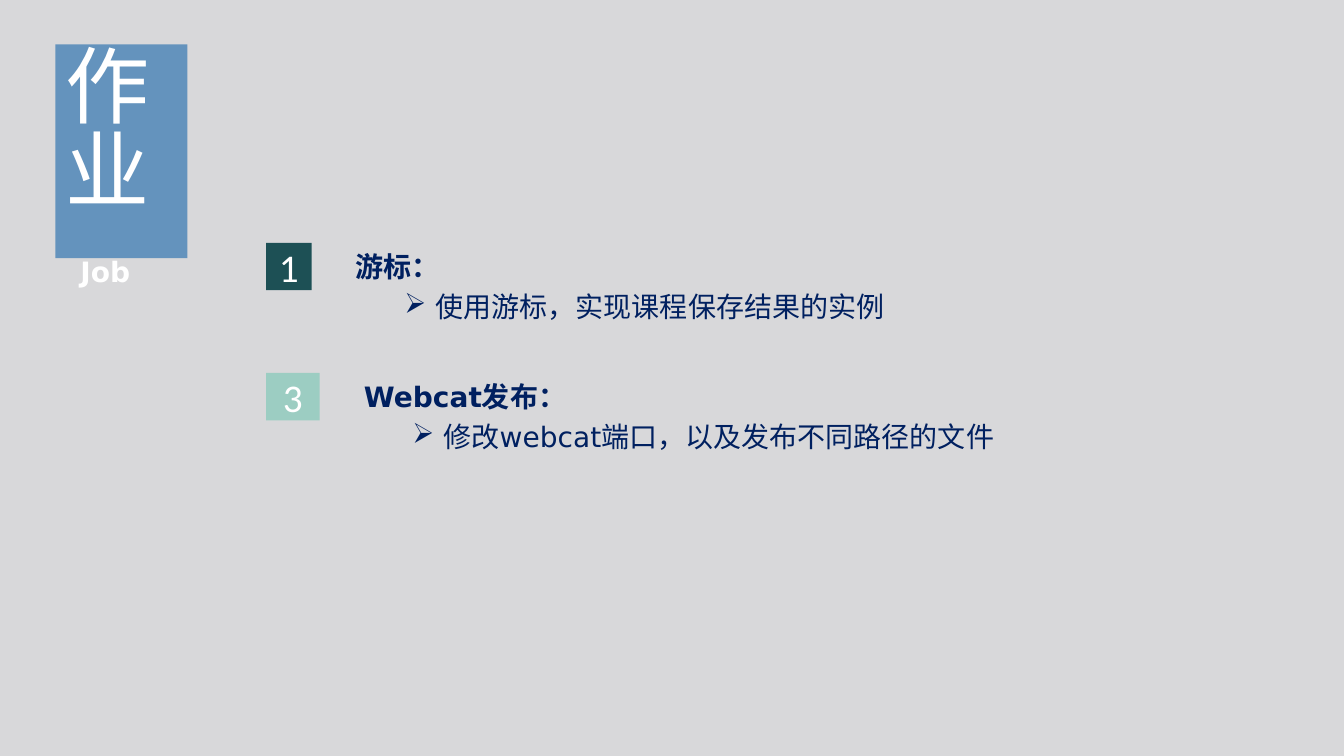
from lxml.etree import SubElement
from pptx import Presentation
from pptx.dml.color import RGBColor
from pptx.enum.shapes import MSO_SHAPE
from pptx.enum.text import MSO_ANCHOR, MSO_AUTO_SIZE, PP_ALIGN
from pptx.oxml.ns import qn
from pptx.util import Inches, Pt

BACKGROUND = RGBColor(0xD8, 0xD8, 0xDA)
BLUE = RGBColor(0x34, 0x77, 0xB2)
NAVY = RGBColor(0x00, 0x20, 0x60)
WHITE = RGBColor(0xFF, 0xFF, 0xFF)
DARK_TEAL = RGBColor(0x1D, 0x50, 0x55)
MINT = RGBColor(0x9C, 0xCD, 0xC2)

HEADING_FONT, BODY_FONT, NUMBER_FONT = "Noto Sans CJK SC", "DejaVu Sans", "Calibri"
WIDTH, HEIGHT = 13.33, 7.5


class HomeworkSlide:
    """Current slide and its style; lengths are in one-inch columns and rows."""

    def __init__(self, deck):
        self.slide = deck.slides.add_slide(deck.slide_layouts[5])
        self.slide.background.fill.solid()
        self.slide.background.fill.fore_color.rgb = BACKGROUND

    def style(self, paragraph, font, size, color, bold=False):
        paragraph.font.name = font
        paragraph.font.size = Pt(size)
        paragraph.font.bold = bold
        paragraph.font.color.rgb = color
        # East Asian characters take the same font
        for run in paragraph.runs:
            SubElement(run._r.get_or_add_rPr(), qn("a:ea"), typeface=font)

    def title(self, text, left, top, width, height):
        title = self.slide.shapes.title
        title.left, title.top = Inches(left), Inches(top)
        title.width, title.height = Inches(width), Inches(height)
        title.fill.solid()
        title.fill.fore_color.rgb = BLUE
        color = title.fill._xPr.find(".//" + qn("a:srgbClr"))
        SubElement(color, qn("a:alpha"), val="70000")
        frame = title.text_frame
        frame.text = text
        frame.word_wrap = True
        frame.auto_size = MSO_AUTO_SIZE.NONE
        frame.vertical_anchor = MSO_ANCHOR.TOP
        heading = frame.paragraphs[0]
        heading.alignment = PP_ALIGN.LEFT
        heading.line_spacing = 0.84
        self.style(heading, HEADING_FONT, 60, WHITE)

    def text(self, lines, left, top, width, height, inset=0.0):
        box = self.slide.shapes.add_textbox(
            Inches(left), Inches(top), Inches(width), Inches(height))
        frame = box.text_frame
        frame.word_wrap = True
        frame.margin_left = frame.margin_right = Inches(inset)
        frame.margin_top = frame.margin_bottom = Inches(inset / 2)
        frame.text = "\n".join(lines)
        return frame.paragraphs

    def number(self, text, color, left, top, width, height):
        tile = self.slide.shapes.add_shape(
            MSO_SHAPE.RECTANGLE, Inches(left), Inches(top), Inches(width), Inches(height))
        tile.shadow.inherit = False
        tile.fill.solid()
        tile.fill.fore_color.rgb = color
        tile.line.fill.background()
        frame = tile.text_frame
        frame.text = text
        frame.vertical_anchor = MSO_ANCHOR.MIDDLE
        frame.paragraphs[0].alignment = PP_ALIGN.CENTER
        self.style(frame.paragraphs[0], NUMBER_FONT, 28, WHITE)

    def task(self, heading, detail, left, top, width, height):
        paragraphs = self.text([heading, detail], left, top, width, height)
        for paragraph, bold in zip(paragraphs, (True, False)):
            paragraph.line_spacing = 1.2
            self.style(paragraph, BODY_FONT, 20, NAVY, bold)
        # Arrow bullet with a hanging indent
        properties = paragraphs[1]._p.get_or_add_pPr()
        properties.set("marL", str(Inches(0.79)))
        properties.set("indent", str(Inches(-0.31)))
        bullet = SubElement(properties, qn("a:buChar"), char="➢")
        properties.find(qn("a:defRPr")).addprevious(bullet)


deck = Presentation()
deck.slide_width, deck.slide_height = Inches(WIDTH), Inches(HEIGHT)
homework = HomeworkSlide(deck)

# Title block with its English caption
homework.title("作业", 0.55, 0.44, 1.31, 2.12)
caption, = homework.text(["Job"], 0.7, 2.48, 1.57, 0.44, inset=0.1)
homework.style(caption, BODY_FONT, 20, WHITE, bold=True)

# Tasks: number, tile colour, tile width, heading, detail, text width, text height
TASKS = [
    ("1", DARK_TEAL, 0.45, "游标：", "使用游标，实现课程保存结果的实例", 6.61, 1.32),
    ("3", MINT, 0.53, "Webcat发布：", "修改webcat端口，以及发布不同路径的文件", 7.53, 1.86),
]
TILE_LEFT, TILE_HEIGHT, TEXT_GAP = 2.64, 0.47, 0.44
FIRST_ROW, ROW_STEP = 2.41, 1.29
for row, (number, color, tile_width, heading, detail, width, height) in enumerate(TASKS):
    top = FIRST_ROW + row * ROW_STEP
    homework.number(number, color, TILE_LEFT, top, tile_width, TILE_HEIGHT)
    homework.task(heading, detail, TILE_LEFT + tile_width + TEXT_GAP, top, width, height)

deck.save("out.pptx")
